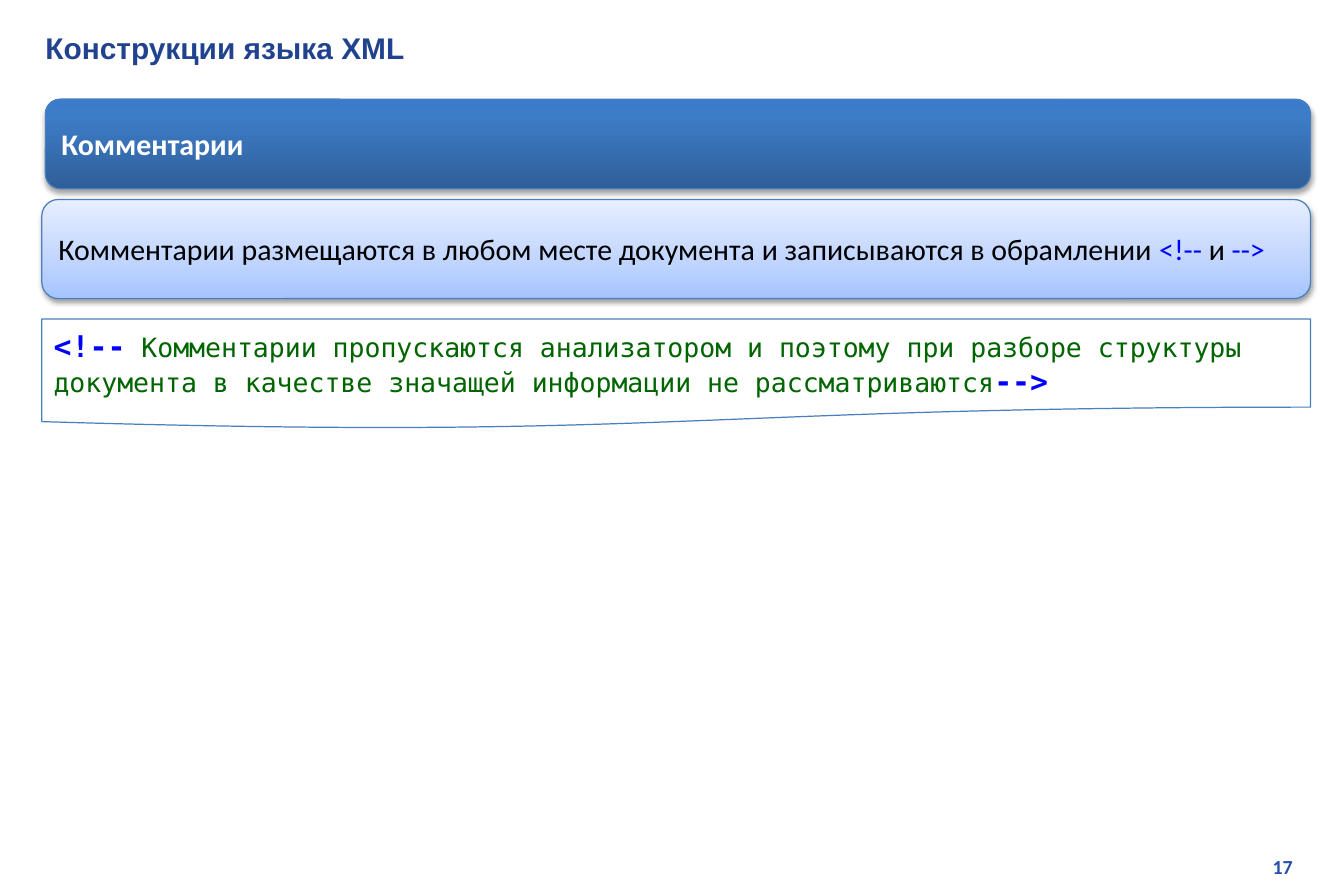
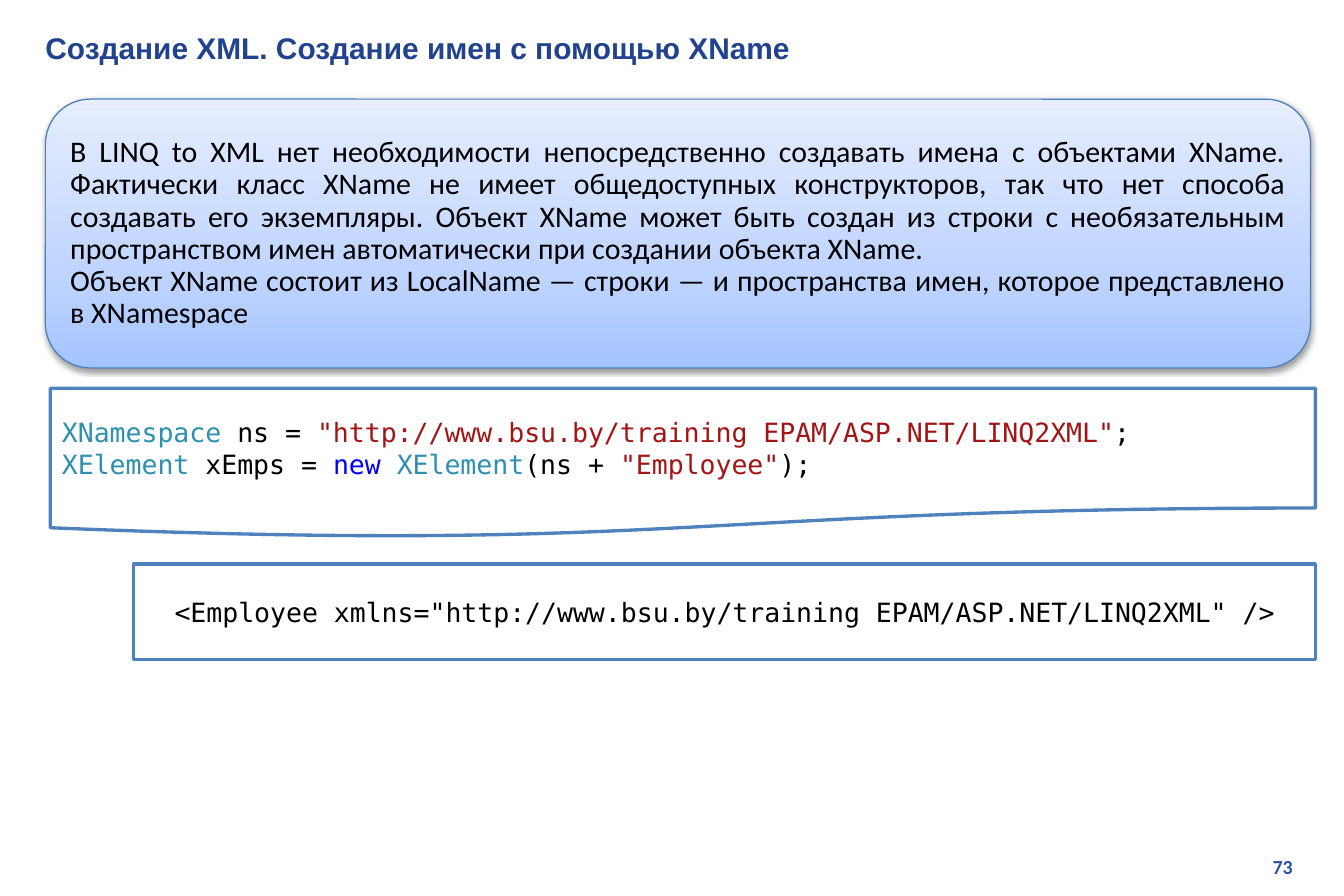
from lxml import etree
from pptx import Presentation
from pptx import util as u
from pptx.dml.color import RGBColor
from pptx.enum import shapes, text
from pptx.oxml import ns

BODY, MONO, HEAD = "Calibri", "DejaVu Sans Mono", "Arial"
BLACK, WHITE, BLUE, GREEN = "000000", "FFFFFF", "0000FF", "006400"
TYPE, STRING = "2B91AF", "A31515"
TITLE, NUMBER, EDGE, FRAME = "21438F", "2750AB", "4B7EBC", "4F81BD"
DARK = ((0, "2F5F99"), (80, "3D7CC7"), (100, "3A7CCB"))
LIGHT = ((0, "A4C4FF"), (35, "BFD4FF"), (100, "E6EEFF"))
ALIGN = text.PP_ALIGN
KIND = shapes.MSO_SHAPE


def color(value):
    """Turn a hex string into a colour."""
    return RGBColor.from_string(value)


def inches(box):
    """Turn left, top, width and height into lengths."""
    return [u.Inches(v) for v in box]


def child(parent, tag, **attrs):
    """Add a drawing element with its attributes."""
    values = {k: str(v) for k, v in attrs.items()}
    return etree.SubElement(parent, ns.qn("a:" + tag), values)


def write(s, paragraphs, font, size, align=ALIGN.LEFT, bold=False):
    """Fill a shape with paragraphs of (text, colour, bold size) runs."""
    tf = s.text_frame
    tf.word_wrap = True
    tf.auto_size = text.MSO_AUTO_SIZE.NONE
    tf.vertical_anchor = text.MSO_ANCHOR.MIDDLE
    for i, runs in enumerate(paragraphs):
        p = tf.add_paragraph() if i else tf.paragraphs[0]
        p.alignment = align
        for words, hue, *big in runs:
            r = p.add_run()
            r.text = words
            r.font.name = font
            r.font.size = u.Pt(big[0] if big else size)
            r.font.bold = bold or bool(big)
            r.font.color.rgb = color(hue)
    return tf


def outlined(slide, kind, box, edge, width):
    """Add a white shape with a plain outline."""
    s = slide.shapes.add_shape(kind, *inches(box))
    s.fill.solid()
    s.fill.fore_color.rgb = color(WHITE)
    s.line.color.rgb = color(edge)
    s.line.width = u.Pt(width)
    s.shadow.inherit = False
    return s


def panel(slide, box, stops, distance, alpha):
    """Add a rounded panel with a vertical gradient and a soft shadow."""
    s = outlined(slide, KIND.ROUNDED_RECTANGLE, box, EDGE, 0.75)
    pr = s._element.spPr
    solid = pr.find(ns.qn("a:solidFill"))
    grad = etree.Element(ns.qn("a:gradFill"), rotWithShape="1")
    stop_list = child(grad, "gsLst")
    for pos, hue in stops:
        child(child(stop_list, "gs", pos=pos * 1000), "srgbClr", val=hue)
    child(grad, "lin", ang=270 * 60000, scaled=0)
    pr.replace(solid, grad)
    shadow = child(pr.find(ns.qn("a:effectLst")), "outerShdw", blurRad=u.Pt(3.1),
                   dist=u.Pt(distance), dir=90 * 60000, rotWithShape=0)
    child(child(shadow, "srgbClr", val=BLACK), "alpha", val=alpha * 1000)
    return s


def heading_panel(slide, box, words):
    """Add a dark panel with a bold heading."""
    s = panel(slide, box, DARK, 1.8, 35)
    write(s, [[(words, WHITE)]], BODY, 18, bold=True)


def note_panel(slide, box, paragraphs, after=0, spacing=1.0):
    """Add a light panel with justified text."""
    s = panel(slide, box, LIGHT, 1.6, 38)
    tf = write(s, paragraphs, BODY, 18, ALIGN.JUSTIFY)
    for p in tf.paragraphs:
        p.space_after = u.Pt(after)
        p.line_spacing = spacing


def code_box(slide, box, paragraphs, kind=KIND.FLOWCHART_DOCUMENT,
             edge=FRAME, width=2, align=ALIGN.LEFT):
    """Add an outlined box of code."""
    s = outlined(slide, kind, box, edge, width)
    write(s, paragraphs, MONO, 16, align)


def titled_slide(prs, title, number):
    """Add a slide with its title and page number."""
    slide = prs.slides.add_slide(prs.slide_layouts[5])
    s = slide.shapes.title
    s.left, s.top, s.width, s.height = inches((0.28, 0.2, 10.74, 0.4))
    write(s, [[(title, TITLE)]], HEAD, 18, bold=True)
    s = slide.shapes.add_textbox(*inches((8.54, 7.1, 2.38, 0.3)))
    write(s, [[(number, NUMBER)]], BODY, 12, ALIGN.RIGHT, True)
    return slide


def comments_slide(prs):
    """Build the slide on XML comments."""
    slide = titled_slide(prs, "Конструкции языка XML", "17")
    heading_panel(slide, (0.38, 0.83, 10.59, 0.75), "Комментарии")
    code_box(slide, (0.35, 2.67, 10.62, 0.92), [[
        ("<!--", BLUE, 18),
        (" ", BLUE),
        ("Комментарии пропускаются анализатором и поэтому при разборе структуры "
         "документа в качестве значащей информации не рассматриваются", GREEN),
        ("-->", BLUE, 18),
    ]], edge=EDGE, width=0.75)
    note_panel(slide, (0.35, 1.67, 10.62, 0.83), [[
        ("Комментарии размещаются в любом месте документа и записываются "
         "в обрамлении ", BLACK),
        ("<!--", BLUE),
        (" и ", BLACK),
        ("-->", BLUE),
    ]], after=10)


def names_slide(prs):
    """Build the slide on creating names with XName."""
    slide = titled_slide(prs, "Создание XML. Создание имен с помощью XName", "73")
    code_box(slide, (0.42, 3.25, 10.59, 1.25), [
        [("XNamespace", TYPE), (" ns = ", BLACK),
         ('"http://www.bsu.by/training EPAM/ASP.NET/LINQ2XML"', STRING), (";", BLACK)],
        [("XElement", TYPE), (" xEmps = ", BLACK), ("new", BLUE), (" ", BLACK),
         ("XElement", TYPE), ("(ns + ", BLACK), ('"Employee"', STRING), (");", BLACK)],
    ])
    note_panel(slide, (0.38, 0.83, 10.59, 2.25), [
        [("В LINQ to XML нет необходимости непосредственно создавать имена с объектами "
          "XName. Фактически класс XName не имеет общедоступных конструкторов, так что "
          "нет способа создавать его экземпляры. Объект XName может быть создан из "
          "строки с необязательным пространством имен автоматически при создании "
          "объекта XName.", BLACK)],
        [("Объект XName состоит из LocalName — строки — и пространства имен, "
          "которое представлено в XNamespace", BLACK)],
    ], spacing=0.9)
    code_box(slide, (1.12, 4.72, 9.89, 0.8), [[
        ('<Employee xmlns="http://www.bsu.by/training EPAM/ASP.NET/LINQ2XML" />', BLACK),
    ]], kind=KIND.RECTANGLE, align=ALIGN.CENTER)


def main():
    """Build and save the presentation."""
    prs = Presentation()
    prs.slide_width, prs.slide_height = u.Inches(11.25), u.Inches(7.5)
    comments_slide(prs)
    names_slide(prs)
    prs.save("out.pptx")


if __name__ == "__main__":
    main()
